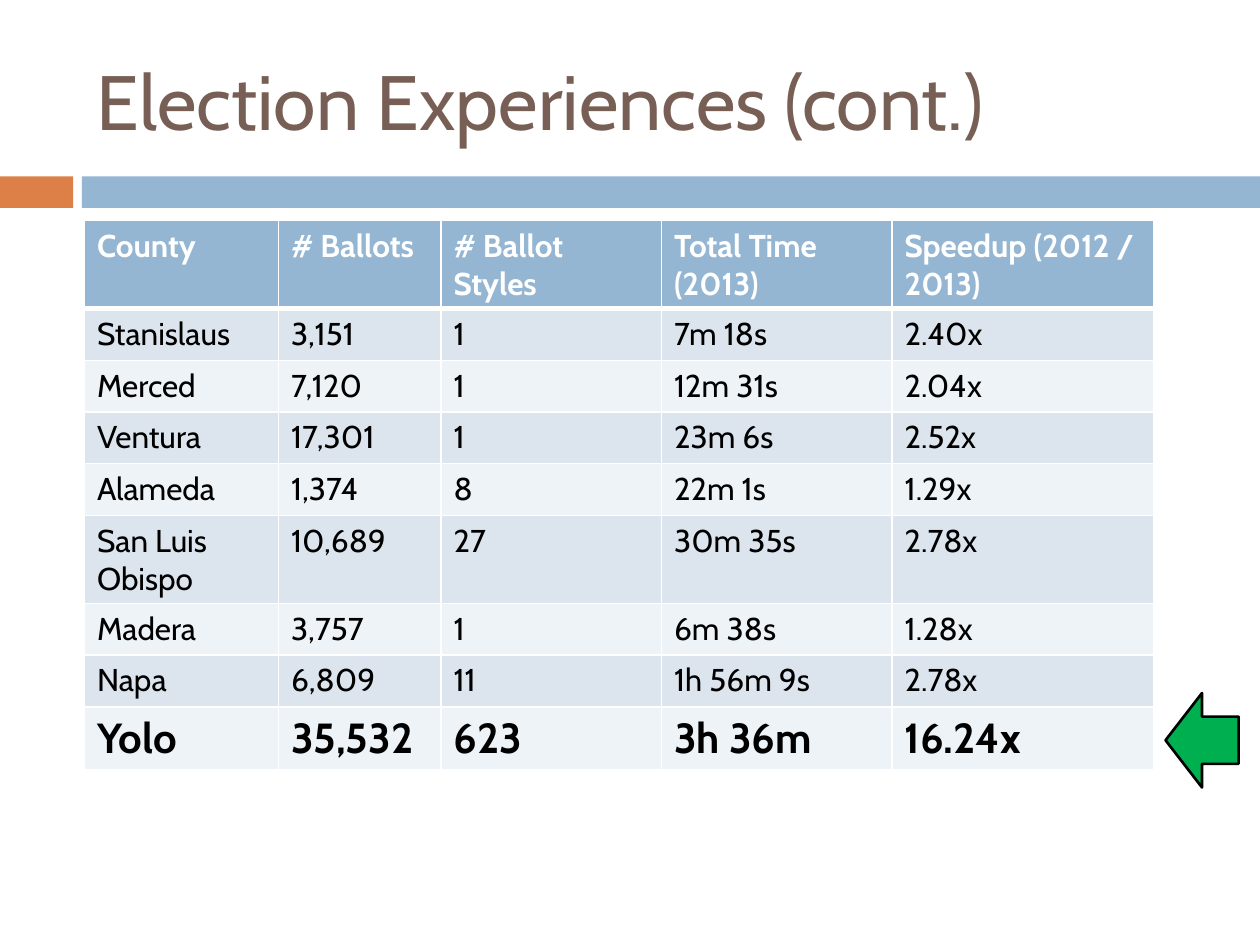
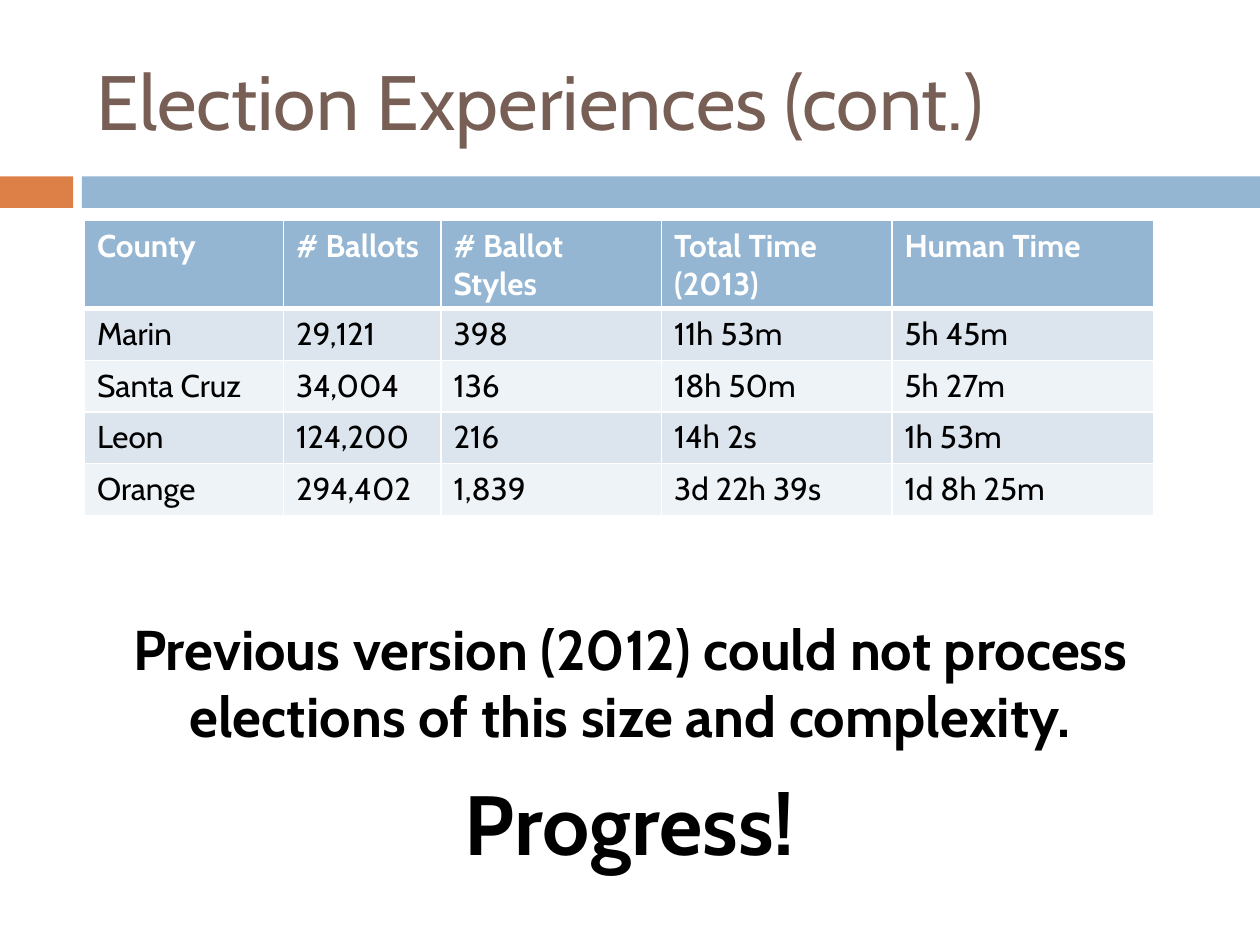
from lxml.etree import SubElement
from pptx import Presentation
from pptx.dml.color import RGBColor
from pptx.enum.shapes import MSO_SHAPE as SHAPE
from pptx.enum.text import MSO_ANCHOR as ANCHOR, PP_ALIGN as ALIGN
from pptx.oxml.ns import qn
from pptx.util import Inches, Pt

FONT = "Cabin"
COLORS = {
    "accent": "DD8047", "band": "94B6D2", "title": "775F55",
    "odd_row": "DCE5EE", "even_row": "EEF3F7",
    "white": "FFFFFF", "black": "000000", "arrow": "00B050",
}
TITLE = "Election Experiences (cont.)"
TITLE_BOX = (0.67, 0.25, 8.92, 1.08)
BAND_BOX = (0, 1.4, 10, 0.25)
TABLE_LEFT, TABLE_TOP, ROW_HEIGHT = 0.67, 1.75, 0.41
COMMON_HEADS = ["County", "# Ballots", "# Ballot Styles", "Total Time (2013)"]
COMMON_WIDTHS = [1.75, 1.83, 2.08]

SPEEDUP_ROWS = [
    ["Stanislaus", "3,151", "1", "7m 18s", "2.40x"],
    ["Merced", "7,120", "1", "12m 31s", "2.04x"],
    ["Ventura", "17,301", "1", "23m 6s", "2.52x"],
    ["Alameda", "1,374", "8", "22m 1s", "1.29x"],
    ["San Luis Obispo", "10,689", "27", "30m 35s", "2.78x"],
    ["Madera", "3,757", "1", "6m 38s", "1.28x"],
    ["Napa", "6,809", "11", "1h 56m 9s", "2.78x"],
    ["Yolo", "35,532", "623", "3h 36m", "16.24x"],
]
HUMAN_TIME_ROWS = [
    ["Marin", "29,121", "398", "11h 53m", "5h 45m"],
    ["Santa Cruz", "34,004", "136", "18h 50m", "5h 27m"],
    ["Leon", "124,200", "216", "14h 2s", "1h 53m"],
    ["Orange", "294,402", "1,839", "3d 22h 39s", "1d 8h 25m"],
]


def rgb(name):
    """Return the named colour."""
    return RGBColor.from_string(COLORS[name])


def add_run(p, text, size, color, bold=False):
    """Add one styled run to a paragraph."""
    r = p.add_run()
    r.text = text
    r.font.name, r.font.size, r.font.bold = FONT, Pt(size), bold
    r.font.color.rgb = rgb(color)


def add_text(slide, box, text, size, color="black", bold=False,
             align=ALIGN.LEFT, anchor=ANCHOR.TOP):
    """Place a wrapped text box with one paragraph."""
    tf = slide.shapes.add_textbox(*map(Inches, box)).text_frame
    tf.word_wrap = True
    tf.vertical_anchor = anchor
    p = tf.paragraphs[0]
    p.alignment = align
    add_run(p, text, size, color, bold)


def add_block(slide, kind, box, fill, line=None):
    """Place a flat preset shape, outlined if a line colour is given."""
    sp = slide.shapes.add_shape(kind, *map(Inches, box))
    sp.shadow.inherit = False
    sp.fill.solid()
    sp.fill.fore_color.rgb = rgb(fill)
    if line:
        sp.line.color.rgb = rgb(line)
        sp.line.width = Pt(1.5)
    else:
        sp.line.fill.background()


def add_band(slide, box):
    """Draw the short accent block and the long band beside it."""
    left, top, width, height = box
    accent, start = 0.58, 0.65
    add_block(slide, SHAPE.RECTANGLE, (left, top, accent, height), "accent")
    add_block(slide, SHAPE.RECTANGLE,
              (left + start, top, width - start, height), "band")


def set_borders(cell, top=1, bottom=1):
    """Give a cell white borders with the chosen top and bottom widths."""
    tc_pr = cell._tc.get_or_add_tcPr()
    for side, width in zip("LRTB", (1, 1, top, bottom)):
        ln = SubElement(tc_pr, qn(f"a:ln{side}"), w=str(Pt(width)))
        fill = SubElement(ln, qn("a:solidFill"))
        SubElement(fill, qn("a:srgbClr"), val=COLORS["white"])


def add_county_table(slide, left, top, widths, heads, counties, big_row=None):
    """Build a banded county table, with one optional emphasized row."""
    rows = [heads] + counties
    table = slide.shapes.add_table(
        len(rows), len(heads), Inches(left), Inches(top),
        Inches(sum(widths)), Inches(ROW_HEIGHT * len(rows))).table
    for column, width in zip(table.columns, widths):
        column.width = Inches(width)
    for i, row in enumerate(rows):
        is_head, is_big = i == 0, row[0] == big_row
        fill = "band" if is_head else "odd_row" if i % 2 else "even_row"
        for j, text in enumerate(row):
            cell = table.cell(i, j)
            set_borders(cell, top=3 if i == 1 else 1, bottom=3 if is_head else 1)
            cell.fill.solid()
            cell.fill.fore_color.rgb = rgb(fill)
            add_run(cell.text_frame.paragraphs[0], text, 24 if is_big else 18,
                    "white" if is_head else "black", is_head or is_big)


def add_base_slide(prs):
    """Add a blank slide with the shared band and title."""
    slide = prs.slides.add_slide(prs.slide_layouts[6])
    add_band(slide, BAND_BOX)
    add_text(slide, TITLE_BOX, TITLE, 44, "title", anchor=ANCHOR.MIDDLE)
    return slide


def add_speedup_slide(prs):
    """Show the speedup per county and point at the best one."""
    slide = add_base_slide(prs)
    add_county_table(slide, TABLE_LEFT, TABLE_TOP, [1.54, 1.29] + COMMON_WIDTHS,
                     COMMON_HEADS + ["Speedup (2012 / 2013)"], SPEEDUP_ROWS, "Yolo")
    add_block(slide, SHAPE.LEFT_ARROW, (9.25, 5.5, 0.58, 0.75), "arrow", "black")


def add_human_time_slide(prs):
    """Show the human time for large counties and the conclusion."""
    slide = add_base_slide(prs)
    add_county_table(slide, TABLE_LEFT, TABLE_TOP, [1.58, 1.25] + COMMON_WIDTHS,
                     COMMON_HEADS + ["Human Time"], HUMAN_TIME_ROWS)
    add_text(slide, (0.34, 4.83, 9.33, 1.18),
             "Previous version (2012) could not process elections of this size "
             "and complexity.", 32, bold=True, align=ALIGN.CENTER)
    add_text(slide, (3.59, 6.07, 2.83, 0.91), "Progress!", 48, bold=True)


def main():
    """Build and save the presentation."""
    prs = Presentation()
    prs.slide_width, prs.slide_height = Inches(10), Inches(7.5)
    add_speedup_slide(prs)
    add_human_time_slide(prs)
    prs.save("out.pptx")


if __name__ == "__main__":
    main()
